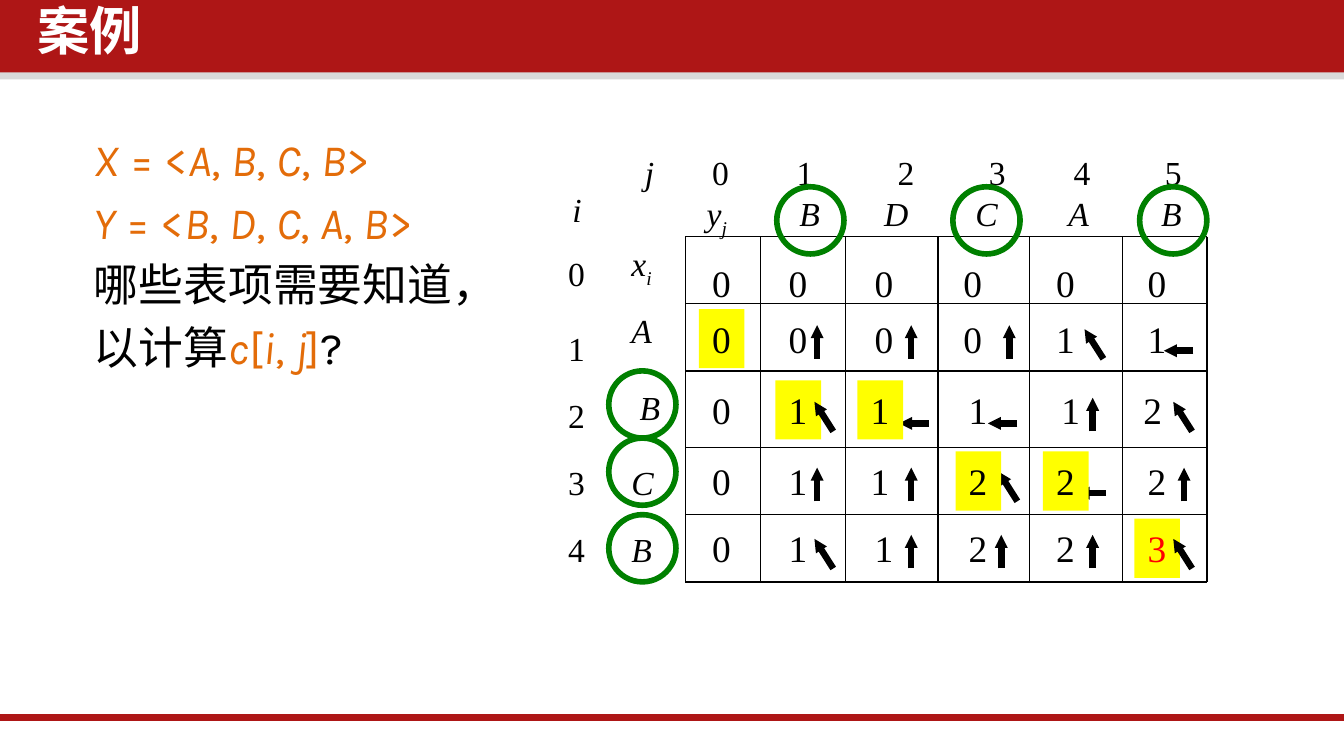
from itertools import groupby
from lxml import etree
from pptx import Presentation
from pptx.dml.color import RGBColor
from pptx.enum.shapes import MSO_CONNECTOR as CONN, MSO_SHAPE as SHAPE
from pptx.enum.text import MSO_ANCHOR as ANCHOR, PP_ALIGN as ALIGN
from pptx.oxml.ns import qn
from pptx.util import Inches, Pt

THEME = {
    "red": "AE1616", "grey": "D9D9D9", "orange": "E36C09", "black": "000000",
    "white": "FFFFFF", "yellow": "FFFF00", "green": "008000", "result": "FF0000",
    "cjk": "Noto Sans CJK SC", "latin": "Karla", "serif": "Times New Roman",
    "title": 28, "body": 24, "label": 18, "cell": 20,
}


def add_run(p, text, font, size, color="black", italic=False, bold=False):
    r = p.add_run()
    r.text = text
    r.font.name, r.font.size = THEME[font], Pt(THEME[size])
    r.font.italic, r.font.bold = italic, bold
    r.font.color.rgb = RGBColor.from_string(THEME[color])
    ea = etree.SubElement(r._r.get_or_add_rPr(), qn("a:ea"))
    ea.set("typeface", THEME["cjk"])
    return r


def add_line(x1, y1, x2, y2, width, color="black", arrow=False):
    line = s.shapes.add_connector(
        CONN.STRAIGHT, Inches(x1), Inches(y1), Inches(x2), Inches(y2))
    line.line.width = Pt(width)
    line.line.color.rgb = RGBColor.from_string(THEME[color])
    if arrow:
        head = etree.SubElement(line.line._get_or_add_ln(), qn("a:tailEnd"))
        for key, value in [("type", "triangle"), ("w", "sm"), ("len", "sm")]:
            head.set(key, value)
    etree.SubElement(line._element.spPr, qn("a:effectLst"))


prs = Presentation()
prs.slide_width, prs.slide_height = Inches(10), Inches(10 * 9 / 16)
s = prs.slides.add_slide(prs.slide_layouts[5])

for top, height, color in [(0.5, 0.09, "grey"), (0, 0.54, "red")]:
    band = s.shapes.add_shape(SHAPE.RECTANGLE, 0, Inches(top), Inches(10), Inches(height))
    band.shadow.inherit = False
    band.fill.solid()
    band.fill.fore_color.rgb = RGBColor.from_string(THEME[color])
    band.line.fill.background()
add_line(0, 5.34, 10, 5.34, 4, "red")

title = s.shapes.title
s.shapes._spTree.append(title._element)
title.left, title.top, title.width, title.height = Inches(0.21), 0, Inches(7.64), Inches(0.59)
tf = title.text_frame
tf.margin_left = tf.margin_right = Inches(0.07)
tf.margin_top = tf.margin_bottom = Inches(0.04)
tf.vertical_anchor = ANCHOR.TOP
p = tf.paragraphs[0]
p.alignment, p.line_spacing = ALIGN.LEFT, 0.9
add_run(p, "案例", "cjk", "title", "white", bold=True)

body = [
    [("X = <A, B, C, B>", "orange")],
    [("Y = <B, D, C, A, B>", "orange")],
    [("哪些表项需要知道，", "black")],
    [("以计算", "black"), ("c[i, j]", "orange"), ("?", "black")],
]
tf = s.shapes.add_textbox(Inches(0.6), Inches(0.98), Inches(8.62), Inches(3.57)).text_frame
tf.word_wrap = True
for i, parts in enumerate(body):
    p = tf.add_paragraph() if i else tf.paragraphs[0]
    p.line_spacing, p.space_before = 0.9, Pt(7.5)
    pPr = p._p.get_or_add_pPr()
    pPr.set("marL", str(Inches(0.19)))
    pPr.set("indent", str(-Inches(0.19)))
    for text, color in parts:
        for italic, chars in groupby(text, lambda c: c.isascii() and c.isalpha()):
            add_run(p, "".join(chars), "latin", "body", color, italic)

for x in [5.1, 5.66, 6.29, 6.98, 7.66, 8.35, 8.98]:
    add_line(x, 1.76, x, 4.33, 0.75)
for y in [1.76, 2.26, 2.76, 3.33, 3.83, 4.33]:
    add_line(5.1, y, 8.98, y, 0.75)

tf = s.shapes.add_textbox(Inches(4.7), Inches(1.08), Inches(4.27), Inches(0.4)).text_frame
tf.word_wrap = True
p = tf.paragraphs[0]
tabs = etree.SubElement(p._p.get_or_add_pPr(), qn("a:tabLst"))
for pos in [0.5, 1.13, 1.88, 2.56, 3.19, 3.87]:
    tab = etree.SubElement(tabs, qn("a:tab"))
    tab.set("pos", str(Inches(pos)))
    tab.set("algn", "l")
add_run(p, "j", "serif", "label", italic=True)
add_run(p, "\t0\t1\t2\t3\t4\t5", "serif", "label")

labels = [(4.13, y, str(i), "") for i, y in enumerate([1.83, 2.39, 2.89, 3.39, 3.89])]
labels += [
    (4.16, 1.36, "i", ""), (4.6, 1.76, "x", "i"), (4.6, 2.26, "A", ""),
    (4.66, 2.83, "B", ""), (4.6, 3.39, "C", ""), (4.6, 3.89, "B", ""),
    (5.16, 1.39, "y", "j"), (5.85, 1.39, "B", ""), (6.48, 1.39, "D", ""),
    (7.16, 1.39, "C", ""), (7.85, 1.39, "A", ""), (8.54, 1.39, "B", ""),
]
label_width = {"i": 0.27, "x": 0.36, "y": 0.36, "C": 0.37, "D": 0.38, "A": 0.35, "B": 0.35}
for x, y, text, sub in labels:
    width = label_width.get(text, 0.33)
    tf = s.shapes.add_textbox(Inches(x), Inches(y), Inches(width), Inches(0.4)).text_frame
    tf.word_wrap = False
    p = tf.paragraphs[0]
    add_run(p, text, "serif", "label", italic=text.isalpha())
    if sub:
        r = add_run(p, sub, "serif", "label", italic=True)
        r.font._element.set("baseline", "-25000")

col_x = [5.2, 5.77, 6.41, 7.07, 7.76, 8.44]
row_y = [1.89, 2.3, 2.83, 3.36, 3.86]
values = ["000000", "000011", "011112", "011222", "011223"]
shifted_x = {(2, 2): 6.38, (2, 3): 7.11, (2, 4): 7.8, (2, 5): 8.41,
             (3, 2): 6.38, (3, 3): 7.11, (4, 3): 7.11}
path_cells = {(1, 0), (2, 1), (2, 2), (3, 3), (3, 4), (4, 5)}
covered = {(2, 2), (3, 3), (3, 4)}
arrow_base = [0, 2.67, 3.21, 3.73, 4.23]
arrow_steps = {"up": (0, 0, -0.25), "diag": (0.14, 0, -0.22), "left": (0.22, -0.06, -0.06)}
arrows = [
    [],
    [("up", 6.08), ("up", 6.78), ("up", 7.51), ("diag", 8.07), ("left", 8.66)],
    [("diag", 6.06), ("left", 6.69), ("left", 7.35), ("up", 8.13), ("diag", 8.73)],
    [("up", 6.08), ("up", 6.78), ("diag", 7.43), ("left", 8.01), ("up", 8.81)],
    [("diag", 6.06), ("up", 6.78), ("up", 7.45), ("up", 8.13), ("diag", 8.73)],
]
arrow_lines = {}
for i, row in enumerate(arrows):
    for j, (kind, x) in enumerate(row, 1):
        dx, start, end = arrow_steps[kind]
        arrow_lines[i, j] = (x + dx, arrow_base[i] + start, x, arrow_base[i] + end)

for cell in sorted(covered):
    add_line(*arrow_lines[cell], 3.5, arrow=True)
for i, row in enumerate(values):
    for j, value in enumerate(row):
        x = shifted_x.get((i, j), col_x[j])
        box = s.shapes.add_textbox(Inches(x), Inches(row_y[i]), Inches(0.34), Inches(0.44))
        if (i, j) in path_cells:
            box.fill.solid()
            box.fill.fore_color.rgb = RGBColor.from_string(THEME["yellow"])
        box.text_frame.word_wrap = False
        color = "result" if value == "3" else "black"
        add_run(box.text_frame.paragraphs[0], value, "serif", "cell", color)
for cell, ends in arrow_lines.items():
    if cell not in covered:
        add_line(*ends, 3.5, arrow=True)

for x, y in [(5.78, 1.39), (7.09, 1.39), (8.48, 1.39), (4.53, 2.76), (4.53, 3.26), (4.53, 3.83)]:
    ring = s.shapes.add_shape(SHAPE.OVAL, Inches(x), Inches(y), Inches(0.5), Inches(0.5))
    ring.shadow.inherit = False
    ring.fill.background()
    ring.line.width = Pt(3)
    ring.line.color.rgb = RGBColor.from_string(THEME["green"])

prs.save("out.pptx")
